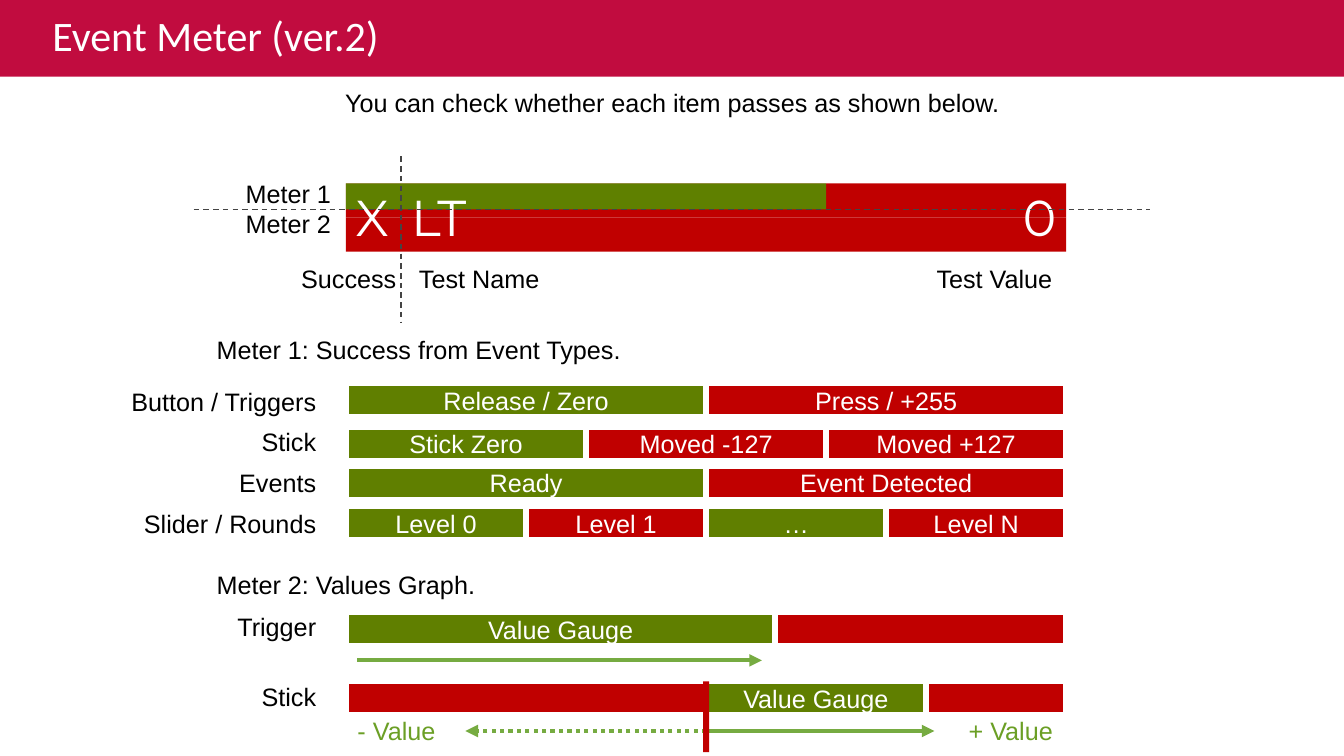
from lxml import etree
from pptx import Presentation
from pptx.dml.color import RGBColor
from pptx.enum.dml import MSO_LINE_DASH_STYLE as Dash
from pptx.enum.shapes import MSO_CONNECTOR as Link, MSO_SHAPE as Kind
from pptx.enum.text import MSO_ANCHOR as Anchor, MSO_AUTO_SIZE as Fit, PP_ALIGN as Align
from pptx.oxml.ns import qn
from pptx.util import Cm, Pt

# Content
RED, GREEN, LIME = "C00000", "607F00", "00FF00"
LEAF, ARROW, GREY = "6B9F25", "76AB41", "444444"
WHITE, BLACK, BAND = "FFFFFF", "000000", "C10C3F"

TITLE = "Event Meter (ver.2)"
# words, left, top, width, align
NOTES = [
    ("You can check whether each item passes as shown below.", 8.36, 2.08, 17.17, "c"),
    ("Success", 7.29, 6.5, 2.95, "r"),
    ("Test Name", 10.31, 6.5, 3.58, "l"),
    ("Test Value", 23.32, 6.5, 3.45, "r"),
    ("Meter 1: Success from Event Types.", 5.21, 8.31, 10.8, "l"),
    ("Meter 2: Values Graph.", 5.21, 14.22, 7.09, "l"),
]
# words, left, width, align
MARKS = [("X", 8.71, 1.5, "l"), ("LT", 10.11, 2.24, "l"), ("0", 25.5, 1.37, "r")]
# label, label width, bar top, equal cells
EVENTS = [
    ("Button / Triggers", 5.21, 9.65, [("Release / Zero", GREEN), ("Press / +255", RED)]),
    ("Stick", 1.9, 10.75, [("Stick Zero", GREEN), ("Moved -127", RED), ("Moved +127", RED)]),
    ("Events", 2.46, 11.73, [("Ready", GREEN), ("Event Detected", RED)]),
    ("Slider / Rounds", 4.9, 12.75,
     [("Level 0", GREEN), ("Level 1", RED), ("…", GREEN), ("Level N", RED)]),
]
# label, label width, label top, bar top, gauge start and span as shares of the bar
GAUGES = [
    ("Trigger", 2.51, 15.29, 15.42, 0, 0.596),
    ("Stick", 1.9, 17.04, 17.17, 0.5, 0.305),
]
SIGNS = [("- Value", 8.76, 2.49), ("+ Value", 24.16, 2.67)]

# Layout in centimetres
LEFT, WIDE, HIGH = 8.72, 18.15, 0.86
MID = LEFT + WIDE / 2
EDGE, LINE_H = 8.22, 1.02
ROW_TOP, ROW_STEP = 9.6, 1.025
METER_TOP, SPLIT, CROSS = 4.62, 5.28, 10.11
ALIGN = {"l": Align.LEFT, "c": Align.CENTER, "r": Align.RIGHT}

deck = Presentation()
deck.slide_width, deck.slide_height = Cm(33.87), Cm(19.05)
slide = deck.slides.add_slide(deck.slide_layouts[6])
shapes = slide.shapes


def hue(code):
    return RGBColor.from_string(code)


def write(frame, words, size=18, font="Arial", color=BLACK, align="l"):
    for i, line in enumerate(words.split("\n")):
        para = frame.paragraphs[0] if i == 0 else frame.add_paragraph()
        para.alignment = ALIGN[align]
        run = para.add_run()
        run.text = line
        run.font.size, run.font.name = Pt(size), font
        run.font.color.rgb = hue(color)


def label(words, x, y, w, h=LINE_H, **style):
    frame = shapes.add_textbox(Cm(x), Cm(y), Cm(w), Cm(h)).text_frame
    frame.word_wrap = False
    frame.auto_size = Fit.SHAPE_TO_FIT_TEXT
    write(frame, words, **style)


def bar(home, x, y, w, h, color, words="", edge=None):
    box = home.add_shape(Kind.RECTANGLE, Cm(x), Cm(y), Cm(w), Cm(h))
    box.shadow.inherit = False
    box.fill.solid()
    box.fill.fore_color.rgb = hue(color)
    if edge:
        box.line.color.rgb = hue(edge)
        box.line.width = Pt(4.33)
    else:
        box.line.fill.background()
    box.text_frame.vertical_anchor = Anchor.MIDDLE
    if words:
        write(box.text_frame, words, color=WHITE, align="c")
    return box


def rule(x1, y1, x2, y2, color, width, dash=None, arrow=False):
    link = shapes.add_connector(Link.STRAIGHT, Cm(x1), Cm(y1), Cm(x2), Cm(y2))
    link.line.color.rgb = hue(color)
    link.line.width = Pt(width)
    if dash:
        link.line.dash_style = dash
    if arrow:
        etree.SubElement(link.line._get_or_add_ln(), qn("a:tailEnd"), type="triangle")
    etree.SubElement(link._element.spPr, qn("a:effectLst"))
    return link


# Title band
band = bar(shapes, 0, 0, 33.87, 1.93, BAND)
band.text_frame.margin_left = Cm(1.32)
write(band.text_frame, TITLE, size=30, font="Calibri", color=WHITE)
band.text_frame.paragraphs[0].line_spacing = 0.9

# Sample meter
label("Meter 1\nMeter 2", 5.94, 4.37, 2.69, 1.8)
meter = shapes.add_group_shape().shapes
for i in range(2):
    bar(meter, LEFT, METER_TOP + i * HIGH, WIDE, HIGH, RED)
glow = bar(meter, LEFT, METER_TOP, WIDE * 2 / 3, SPLIT - METER_TOP, LIME)
tint = glow.fill._xPr.find(qn("a:solidFill"))[0]
etree.SubElement(tint, qn("a:alpha"), val="50000")
for words, x, w, align in MARKS:
    label(words, x, 4.57, w, 1.8, size=36, font="Montserrat", color=WHITE, align=align)
rule(4.88, SPLIT, 28.98, SPLIT, GREY, 1, Dash.DASH)
rule(CROSS, 3.94, CROSS, 8.13, GREY, 1, Dash.DASH)

# Captions
for words, x, y, w, align in NOTES:
    label(words, x, y, w, align=align)

# Meter 1 rows
for i, (name, w, top, cells) in enumerate(EVENTS):
    label(name, EDGE - w, ROW_TOP + i * ROW_STEP, w, align="r")
    row, part = shapes.add_group_shape().shapes, WIDE / len(cells)
    for j, (words, color) in enumerate(cells):
        bar(row, LEFT + j * part, top, part, HIGH, color, words, WHITE)

# Meter 2 rows
for name, w, y, top, start, span in GAUGES:
    label(name, EDGE - w, y, w, align="r")
    row = shapes.add_group_shape().shapes
    base = bar(row, LEFT, top, WIDE, HIGH, RED, edge=WHITE)
    bar(row, LEFT + start * WIDE, top, span * WIDE, HIGH, GREEN, "Value Gauge", WHITE)

# Value arrows and zero line
rule(9, 16.64, 19.2, 16.64, ARROW, 3, arrow=True)
rule(MID, 18.42, 23.55, 18.42, ARROW, 3, arrow=True)
for words, x, w in SIGNS:
    label(words, x, 17.9, w, color=LEAF)
rule(MID, 18.42, 11.73, 18.42, ARROW, 3, Dash.ROUND_DOT, arrow=True)
zero = rule(MID, 18.95, MID, 17.17, RED, 4.33)
zero.end_connect(base, 0)

deck.save("out.pptx")
